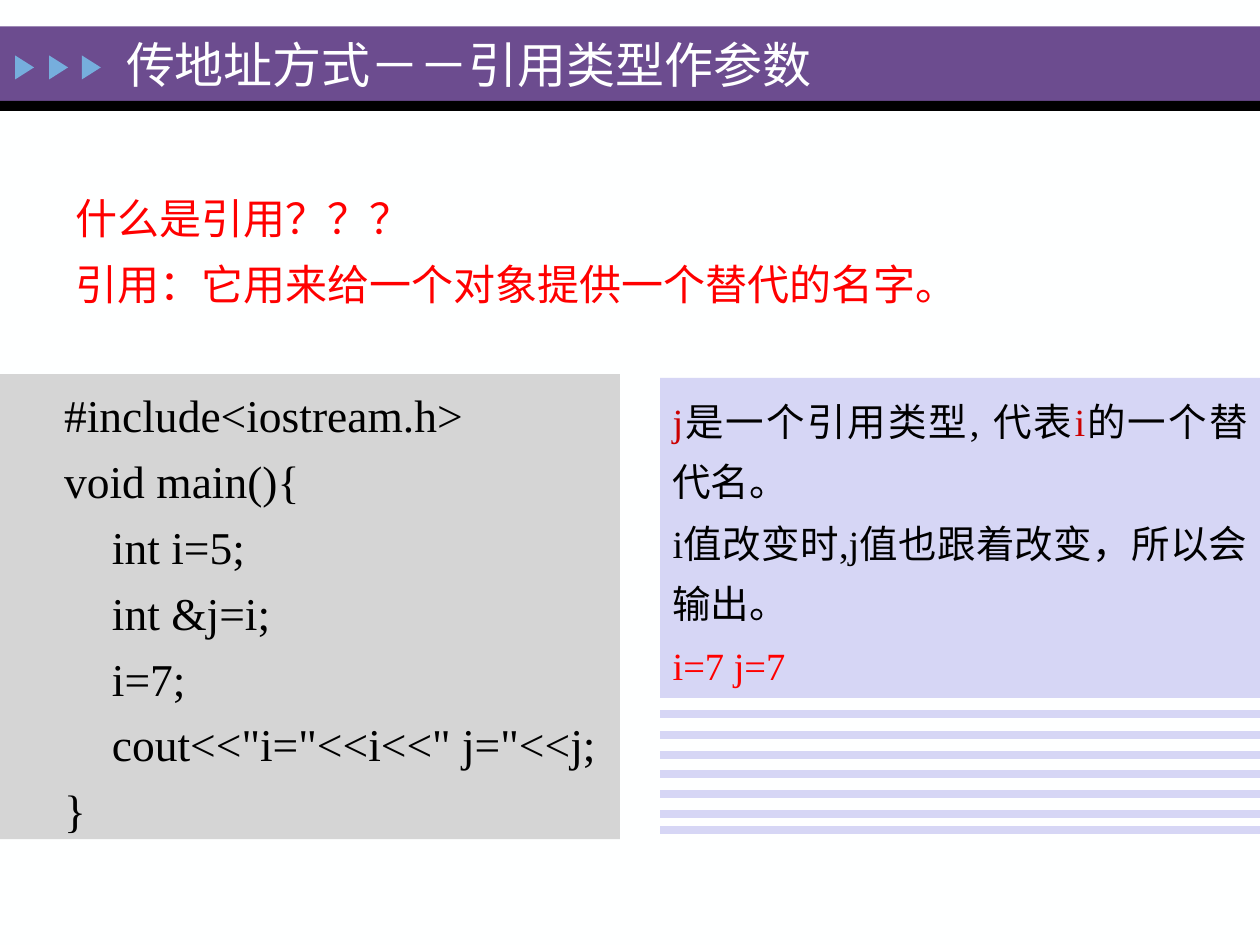
"""Builds a slide on passing C++ arguments by reference."""
import pptx
import pptx.util
import pptx.dml.color
import pptx.enum.shapes
import pptx.enum.text
import lxml.etree

Inches, Pt = pptx.util.Inches, pptx.util.Pt
SHAPE = pptx.enum.shapes.MSO_SHAPE
ALIGN = pptx.enum.text.PP_ALIGN
ANCHOR = pptx.enum.text.MSO_ANCHOR

WHITE, BLACK, RED, DARK = "FEFFFF", "000000", "FF0000", "CC0000"
PURPLE, SKY, GREY, LILAC = "6C4C8F", "76AEDD", "D5D5D5", "D6D6F5"

TITLE = "传地址方式－－引用类型作参数"
INTRO = [
    ("什么是引用？？？", (0, 1.48, 3.97, 0.71)),
    ("引用：它用来给一个对象提供一个替代的名字。", (0, 2, 9.56, 0.71)),
]
CODE = [
    "#include<iostream.h>",
    "void main(){",
    "\tint i=5;",
    "\tint &j=i;",
    "\ti=7;",
    "\tcout<<\"i=\"<<i<<\" j=\"<<j;",
    "}",
]
NOTES = [
    [("j", DARK), ("是一个引用类型, 代表", BLACK), ("i", DARK), ("的一个替代名。", BLACK)],
    "i值改变时,j值也跟着改变，所以会输出。",
    [("i=7 j=7", RED)],
]
BARS = [((0, 0.21, 10, 0.59), PURPLE), ((0, 0.8, 10, 0.08), BLACK)]
ARROWS = [0.1, 0.37, 0.63]
RULES = [round(5.67 + 0.158 * n, 2) for n in range(6)] + [6.59]


def paint(fmt, color):
    fmt.solid()
    fmt.fore_color.rgb = pptx.dml.color.RGBColor.from_string(color)


def place(shape, box):
    shape.left, shape.top, shape.width, shape.height = map(Inches, box)


def block(slide, box, color, kind=SHAPE.RECTANGLE):
    shape = slide.shapes.add_shape(kind, *map(Inches, box))
    shape.shadow.inherit = False
    paint(shape.fill, color)
    shape.line.fill.background()
    return shape


def write(shape, paras, size=24, color=BLACK, align=ALIGN.LEFT, anchor=ANCHOR.TOP,
          left=0, first=0, gap=0, lines=1.0, top=0.05):
    frame = shape.text_frame
    frame.word_wrap = True
    frame.auto_size = pptx.enum.text.MSO_AUTO_SIZE.NONE
    frame.vertical_anchor = anchor
    frame.margin_top = Inches(top)
    for n, runs in enumerate(paras):
        para = frame.paragraphs[0] if n == 0 else frame.add_paragraph()
        para.alignment, para.line_spacing = align, lines
        para.space_before = Pt(gap if n else 0)
        props = para._p.get_or_add_pPr()
        props.set("marL", str(Inches(left)))
        props.set("indent", str(Inches(first)))
        for text, tint in [(runs, color)] if isinstance(runs, str) else runs:
            run = para.add_run()
            run.text = text
            run.font.size, run.font.name = Pt(size), "Times New Roman"
            paint(run.font.fill, tint)


def rule(slide, y):
    line = slide.shapes.add_connector(
        pptx.enum.shapes.MSO_CONNECTOR.STRAIGHT, Inches(5.24), Inches(y), Inches(10), Inches(y))
    paint(line.line.fill, LILAC)
    line.line.width = Pt(4.5)
    space = "{http://schemas.openxmlformats.org/drawingml/2006/main}"
    lxml.etree.SubElement(line._element.spPr, space + "effectLst")


def main():
    deck = pptx.Presentation()
    deck.slide_width, deck.slide_height = Inches(10), Inches(7.5)
    slide = deck.slides.add_slide(deck.slide_layouts[5])
    paint(slide.background.fill, WHITE)

    for box, color in BARS:
        block(slide, box, color)
    for x in ARROWS:
        block(slide, (x, 0.46, 0.19, 0.15), SKY, SHAPE.ISOSCELES_TRIANGLE).rotation = 90

    title = slide.shapes.title
    title.element.getparent().append(title.element)
    place(title, (0.9, 0.04, 7.33, 0.93))
    write(title, [TITLE], size=28, color=WHITE, anchor=ANCHOR.MIDDLE)

    for text, box in INTRO:
        write(slide.shapes.add_textbox(*map(Inches, box)), [text], color=RED,
              align=ALIGN.JUSTIFY, left=0.81, first=-0.31)

    write(block(slide, (0, 2.97, 4.92, 3.69), GREY), CODE, size=26,
          left=0.79, first=-0.38, gap=6.5, top=0.1)
    write(block(slide, (5.24, 3, 4.76, 2.54), LILAC), NOTES, size=22,
          align=ALIGN.JUSTIFY, gap=1.1, lines=1.3)
    for y in RULES:
        rule(slide, y)
    deck.save("out.pptx")


if __name__ == "__main__":
    main()
